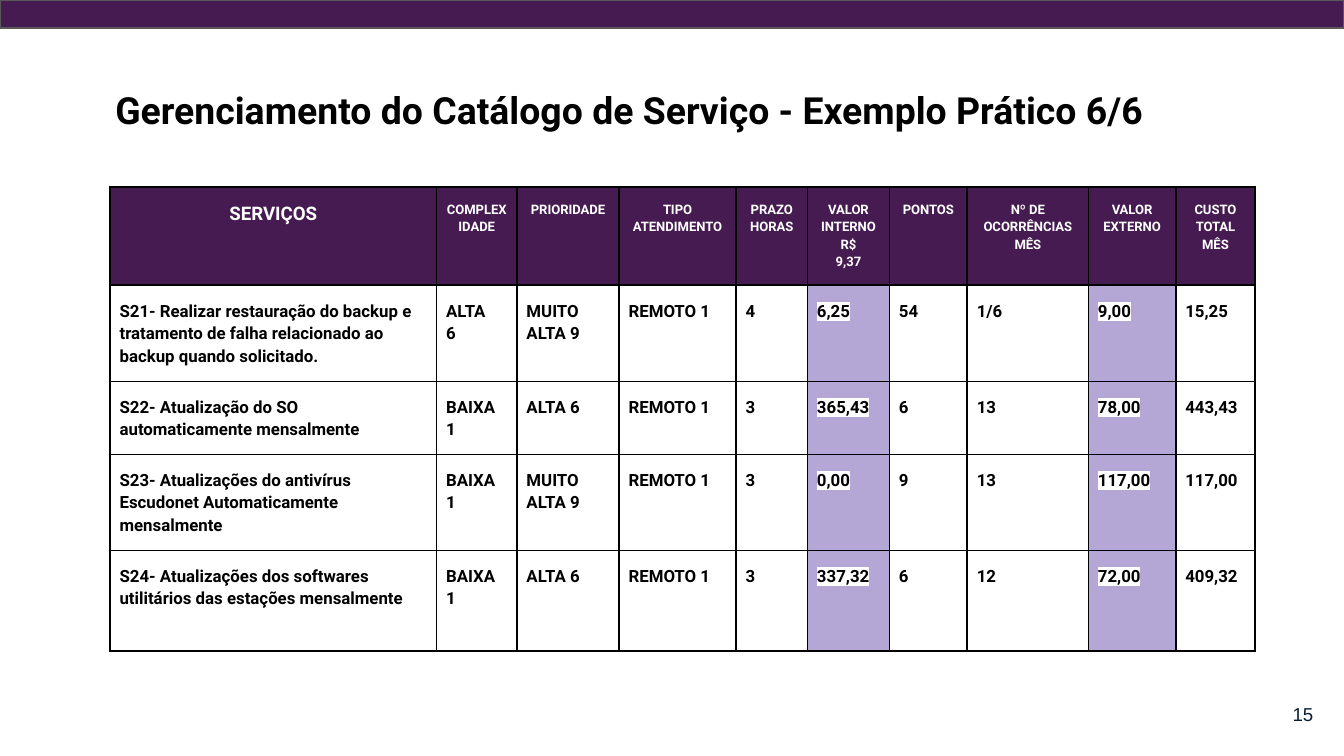
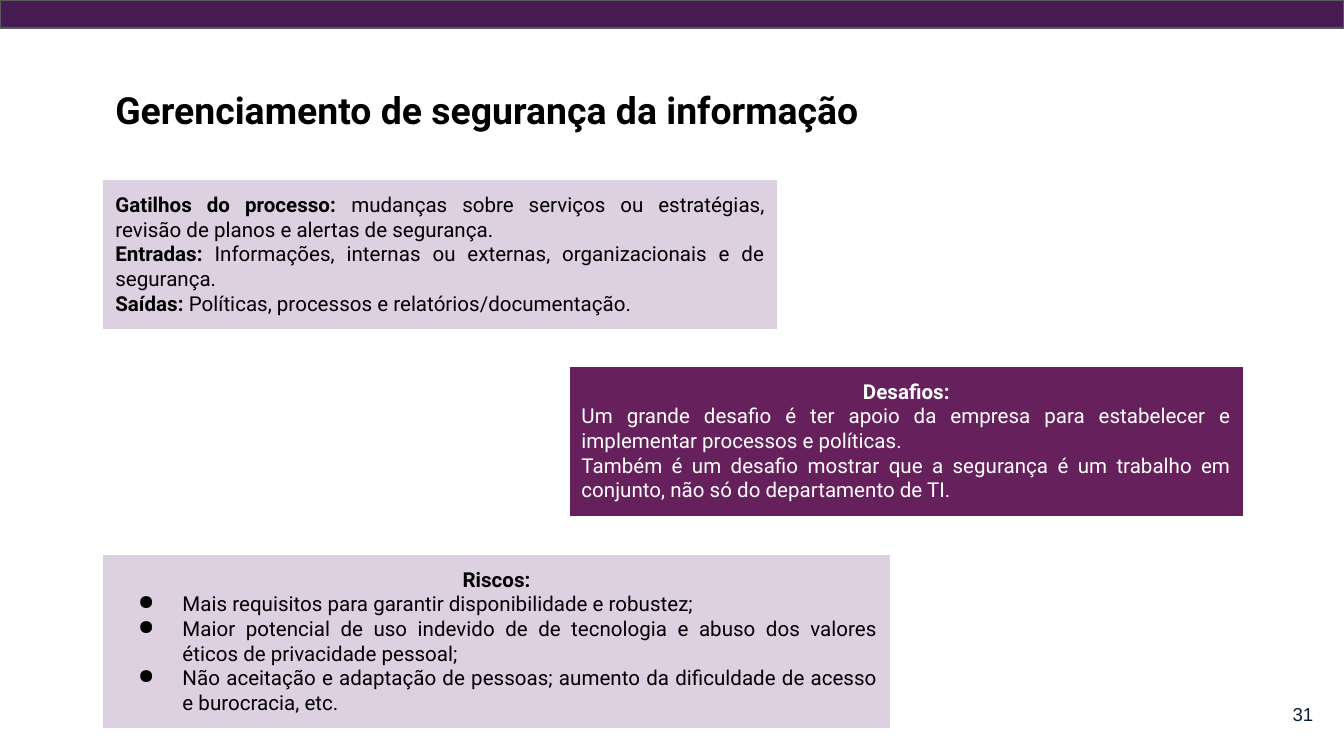
from copy import deepcopy
from dataclasses import dataclass

from lxml.etree import SubElement
from pptx import Presentation
from pptx.dml.color import RGBColor
from pptx.enum.shapes import MSO_SHAPE
from pptx.enum.text import MSO_ANCHOR, MSO_AUTO_SIZE, PP_ALIGN
from pptx.oxml.ns import qn
from pptx.slide import Slide
from pptx.table import _Cell
from pptx.text.text import TextFrame, _Paragraph, _Run
from pptx.util import Cm, Pt

COLORS = {
    "band": "461B51",
    "band_line": "595959",
    "number": "081E30",
    "black": "000000",
    "white": "FFFFFF",
    "value": "B4A7D6",
    "light_panel": "DDD0E1",
    "dark_panel": "66205C",
}
FONT = "Roboto"
LEFT = 1.93
INSET = 0.25


@dataclass
class Passage:
    lead: str = ""
    body: str = ""
    align: PP_ALIGN = PP_ALIGN.JUSTIFY
    bullet: bool = False


@dataclass
class Panel:
    left: float
    top: float
    width: float
    height: float
    fill: str
    ink: str
    passages: list[Passage]


def rgb(name: str) -> RGBColor:
    return RGBColor.from_string(COLORS[name])


def style_run(run: _Run, size: float, color: str, bold: bool = False, font: str = FONT) -> None:
    run.font.size = Pt(size)
    run.font.name = font
    run.font.bold = bold
    run.font.color.rgb = rgb(color)


def set_frame(frame: TextFrame, anchor: MSO_ANCHOR = MSO_ANCHOR.TOP) -> None:
    frame.word_wrap = True
    frame.vertical_anchor = anchor
    frame.margin_left = frame.margin_right = Cm(INSET)
    frame.margin_top = frame.margin_bottom = Cm(INSET)


# Shared parts
def add_band(slide: Slide) -> None:
    """Put the top band on the layout, so every slide shows it."""
    band = slide.shapes.add_shape(MSO_SHAPE.RECTANGLE, 0, 0, Cm(25.4), Cm(0.53))
    band.shadow.inherit = False
    band.fill.solid()
    band.fill.fore_color.rgb = rgb("band")
    band.line.color.rgb = rgb("band_line")
    band.line.width = Pt(0.75)
    slide.slide_layout.shapes._spTree.append(band._element)


def add_title(slide: Slide, text: str, width: float) -> None:
    frame = slide.shapes.add_textbox(Cm(LEFT), Cm(1.4), Cm(width), Cm(1.37)).text_frame
    set_frame(frame)
    frame.auto_size = MSO_AUTO_SIZE.SHAPE_TO_FIT_TEXT
    frame.text = text
    style_run(frame.paragraphs[0].runs[0], 20, "black", True)


def add_page_number(slide: Slide, number: int) -> None:
    frame = slide.shapes.add_textbox(Cm(23.55), Cm(12.95), Cm(1.52), Cm(1.09)).text_frame
    set_frame(frame, MSO_ANCHOR.MIDDLE)
    frame.text = str(number)
    frame.paragraphs[0].alignment = PP_ALIGN.RIGHT
    style_run(frame.paragraphs[0].runs[0], 10, "number", font="Arial")


# Service table
COLUMN_WIDTHS = [6.17, 1.52, 1.93, 2.21, 1.35, 1.55, 1.47, 2.29, 1.65, 1.5]
ROW_HEIGHTS = [1.37, 1.42, 1.37, 1.57, 1.9]
VALUE_COLUMNS = {5, 8}
SERVICES = [
    ["SERVIÇOS", "COMPLEXIDADE", "PRIORIDADE", "TIPO ATENDIMENTO", "PRAZO HORAS",
     "VALOR INTERNO\vR$\v9,37", "PONTOS", "Nº DE OCORRÊNCIAS MÊS", "VALOR EXTERNO",
     "CUSTO TOTAL MÊS"],
    ["S21- Realizar restauração do backup e tratamento de falha relacionado ao backup "
     "quando solicitado.", "ALTA\v6", "MUITO ALTA 9", "REMOTO 1", "4", "6,25", "54", "1/6",
     "9,00", "15,25"],
    ["S22- Atualização do SO automaticamente mensalmente", "BAIXA 1", "ALTA 6", "REMOTO 1",
     "3", "365,43", "6", "13", "78,00", "443,43"],
    ["S23- Atualizações do antivírus Escudonet Automaticamente mensalmente", "BAIXA 1",
     "MUITO ALTA 9", "REMOTO 1", "3", "0,00", "9", "13", "117,00", "117,00"],
    ["S24- Atualizações dos softwares utilitários das estações mensalmente", "BAIXA 1",
     "ALTA 6", "REMOTO 1", "3", "337,32", "6", "12", "72,00", "409,32"],
]


def add_borders(cell: _Cell) -> None:
    properties = cell._tc.get_or_add_tcPr()
    for position, side in enumerate(("a:lnL", "a:lnR", "a:lnT", "a:lnB")):
        border = SubElement(properties, qn(side), w=str(Pt(1)))
        fill = SubElement(border, qn("a:solidFill"))
        SubElement(fill, qn("a:srgbClr"), val=COLORS["black"])
        properties.insert(position, border)


def add_highlight(run: _Run) -> None:
    properties = run._r.get_or_add_rPr()
    highlight = SubElement(properties, qn("a:highlight"))
    SubElement(highlight, qn("a:srgbClr"), val=COLORS["white"])
    properties.find(qn("a:solidFill")).addnext(highlight)


def fill_cell(cell: _Cell, text: str, row: int, column: int) -> None:
    header = row == 0
    cell.margin_left = cell.margin_right = Cm(0.18)
    cell.margin_top = cell.margin_bottom = Cm(INSET)
    cell.fill.solid()
    body_fill = "value" if column in VALUE_COLUMNS else "white"
    cell.fill.fore_color.rgb = rgb("band" if header else body_fill)
    add_borders(cell)

    cell.text_frame.text = text
    paragraph = cell.text_frame.paragraphs[0]
    paragraph.alignment = PP_ALIGN.CENTER if header else PP_ALIGN.LEFT
    paragraph.line_spacing = 1.15
    paragraph.space_before = paragraph.space_after = Pt(12)
    header_size = 10 if column == 0 else 7
    for run in paragraph.runs:
        style_run(run, header_size if header else 9, "white" if header else "black", True)
        if not header:
            add_highlight(run)
    # Line breaks take the size of the text around them
    for line_break in paragraph._p.findall(qn("a:br")):
        line_break.insert(0, deepcopy(paragraph.runs[0]._r.rPr))


def add_service_table(slide: Slide) -> None:
    table = slide.shapes.add_table(
        len(ROW_HEIGHTS), len(COLUMN_WIDTHS), Cm(2.08), Cm(3.53),
        Cm(sum(COLUMN_WIDTHS)), Cm(sum(ROW_HEIGHTS))).table
    table.first_row = table.horz_banding = False
    for column, width in zip(table.columns, COLUMN_WIDTHS):
        column.width = Cm(width)
    for row, height in zip(table.rows, ROW_HEIGHTS):
        row.height = Cm(height)
    for row, service in enumerate(SERVICES):
        for column, text in enumerate(service):
            fill_cell(table.cell(row, column), text, row, column)


# Security panels
PANELS = [
    Panel(LEFT, 3.38, 12.78, 2.87, "light_panel", "black", [
        Passage("Gatilhos do processo: ", "mudanças sobre serviços ou estratégias, revisão de "
                "planos e alertas de segurança."),
        Passage("Entradas:", " Informações, internas ou externas, organizacionais e de "
                "segurança."),
        Passage("Saídas:", " Políticas, processos e relatórios/documentação."),
    ]),
    Panel(10.74, 6.91, 12.78, 2.87, "dark_panel", "white", [
        Passage("Desafios:", align=PP_ALIGN.CENTER),
        Passage(body="Um grande desafio é ter apoio da empresa para estabelecer e implementar "
                "processos e políticas."),
        Passage(body="Também é um desafio mostrar que a segurança é um trabalho em conjunto, "
                "não só do departamento de TI."),
    ]),
    Panel(LEFT, 10.46, 14.91, 3.33, "light_panel", "black", [
        Passage("Riscos:", align=PP_ALIGN.CENTER),
        Passage(body="Mais requisitos para garantir disponibilidade e robustez;", bullet=True),
        Passage(body="Maior potencial de uso indevido de de tecnologia e abuso dos valores "
                "éticos de privacidade pessoal;", bullet=True),
        Passage(body="Não aceitação e adaptação de pessoas; aumento da dificuldade de acesso e "
                "burocracia, etc.", bullet=True),
    ]),
]


def add_bullet(paragraph: _Paragraph) -> None:
    properties = paragraph._p.get_or_add_pPr()
    properties.set("marL", str(Cm(1.27)))
    properties.set("indent", str(Cm(-0.84)))
    color = SubElement(properties, qn("a:buClr"))
    SubElement(color, qn("a:srgbClr"), val=COLORS["black"])
    SubElement(properties, qn("a:buChar"), char="●")


def add_panel(slide: Slide, panel: Panel) -> None:
    box = slide.shapes.add_shape(MSO_SHAPE.RECTANGLE, Cm(panel.left), Cm(panel.top),
                                 Cm(panel.width), Cm(panel.height))
    box.shadow.inherit = False
    box.fill.solid()
    box.fill.fore_color.rgb = rgb(panel.fill)
    box.line.color.rgb = rgb("white")
    box.line.width = Pt(1.5)
    frame = box.text_frame
    set_frame(frame)
    frame.auto_size = MSO_AUTO_SIZE.SHAPE_TO_FIT_TEXT
    for index, passage in enumerate(panel.passages):
        paragraph = frame.add_paragraph() if index else frame.paragraphs[0]
        paragraph.alignment = passage.align
        if passage.bullet:
            add_bullet(paragraph)
        for text, bold in ((passage.lead, True), (passage.body, False)):
            if text:
                run = paragraph.add_run()
                run.text = text
                style_run(run, 11, panel.ink, bold)


def main() -> None:
    deck = Presentation()
    deck.slide_width, deck.slide_height = Cm(25.4), Cm(14.29)
    blank = deck.slide_layouts[6]

    # Service catalogue
    catalogue = deck.slides.add_slide(blank)
    add_band(catalogue)
    add_page_number(catalogue, 15)
    add_title(catalogue, "Gerenciamento do Catálogo de Serviço - Exemplo Prático 6/6", 21.95)
    add_service_table(catalogue)

    # Information security
    security = deck.slides.add_slide(blank)
    add_page_number(security, 31)
    add_title(security, "Gerenciamento de segurança da informação", 18.9)
    for panel in PANELS:
        add_panel(security, panel)

    deck.save("out.pptx")


if __name__ == "__main__":
    main()
